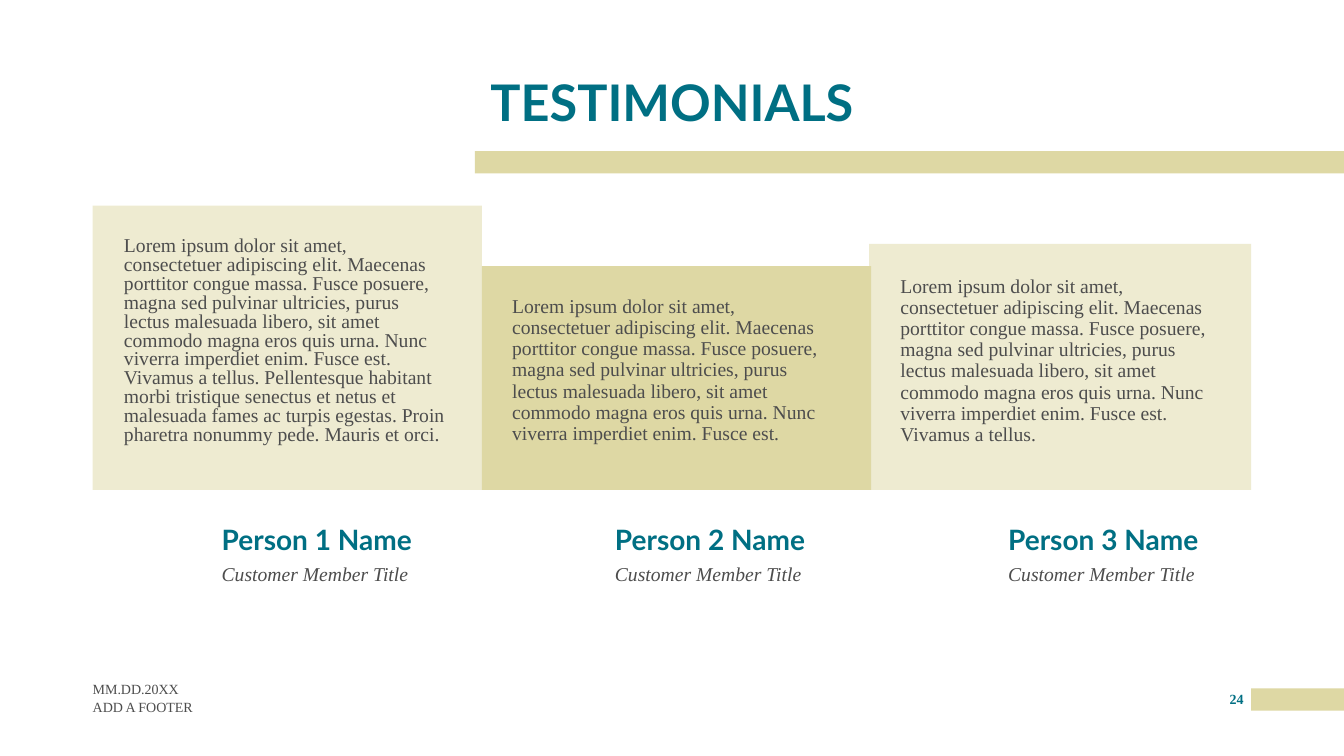
import pptx
import pptx.util
import pptx.dml.color
import pptx.enum.shapes
import pptx.enum.text
import lxml.etree

COLORS = {"sand": "DED8A4", "teal": "006F83", "body": "4D4D4D"}
HEADING, BODY = "Lato", "Times New Roman"
ALIGN = pptx.enum.text.PP_ALIGN
ANCHOR = pptx.enum.text.MSO_ANCHOR
WIDTH, HEIGHT = 13.33, 7.5
MARGIN = 0.92

SENTENCES = [
    "Lorem ipsum dolor sit amet, consectetuer adipiscing elit. Maecenas porttitor "
    "congue massa. Fusce posuere, magna sed pulvinar ultricies, purus lectus malesuada "
    "libero, sit amet commodo magna eros quis urna. Nunc viverra imperdiet enim. Fusce est.",
    "Vivamus a tellus.",
    "Pellentesque habitant morbi tristique senectus et netus et malesuada fames ac "
    "turpis egestas. Proin pharetra nonummy pede. Mauris et orci.",
]
# Quote box, number of text parts, line spacing, whether the box has a pale fill
TESTIMONIALS = [
    ((0.92, 2.04, 3.86, 2.82), 3, 0.8, True),
    ((4.77, 2.62, 3.86, 2.23), 1, 0.9, False),
    ((8.62, 2.42, 3.79, 2.44), 2, 0.9, True),
]
PERSON_LEFT, PERSON_STEP = 2.1, 3.9


def inches(values):
    return [pptx.util.Inches(value) for value in values]


def add_block(slide, box, opacity=100):
    block = slide.shapes.add_shape(pptx.enum.shapes.MSO_SHAPE.RECTANGLE, *inches(box))
    block.shadow.inherit = False
    block.line.fill.background()
    block.fill.solid()
    block.fill.fore_color.rgb = pptx.dml.color.RGBColor.from_string(COLORS["sand"])
    if opacity < 100:
        color = block.fill._xPr.find(".//" + pptx.oxml.ns.qn("a:srgbClr"))
        alpha = lxml.etree.SubElement(color, pptx.oxml.ns.qn("a:alpha"))
        alpha.set("val", str(opacity * 1000))
    return block


def write(holder, text, size, color="body", font=BODY, bold=False, italic=False,
          align=ALIGN.LEFT, anchor=ANCHOR.TOP, spacing=None, insets=(0, 0, 0, 0)):
    frame = holder.text_frame
    frame.word_wrap = True
    frame.vertical_anchor = anchor
    (frame.margin_left, frame.margin_top,
     frame.margin_right, frame.margin_bottom) = inches(insets)
    frame.text = text
    paragraph = frame.paragraphs[0]
    paragraph.alignment = align
    if spacing:
        paragraph.line_spacing = spacing
    style = paragraph.runs[0].font
    style.name, style.size = font, pptx.util.Pt(size)
    style.bold, style.italic = bold, italic
    style.color.rgb = pptx.dml.color.RGBColor.from_string(COLORS[color])


def add_label(slide, box, text, size, **look):
    write(slide.shapes.add_textbox(*inches(box)), text, size, **look)


def add_header(slide, box):
    left, top, width, height = box
    # Band that runs to the right edge of the slide
    add_block(slide, (4.71, 1.5, WIDTH - 4.71, 0.22))
    add_label(slide, (left, top, width, height), "TESTIMONIALS", 36, color="teal",
              font=HEADING, bold=True, align=ALIGN.CENTER, spacing=0.9)


def add_quote(slide, box, text, spacing, pale):
    if pale:
        quote = add_block(slide, box, opacity=50)
    else:
        quote = slide.shapes.add_textbox(*inches(box))
    write(quote, text, 14, spacing=spacing, insets=(0.31, 0.32, 0.34, 0.31))


def add_person(slide, box, name, role):
    left, top, width, height = box
    add_label(slide, (left, top, width, 0.36), name, 20, color="teal", font=HEADING,
              bold=True, spacing=0.9, insets=(0.1, 0.04, 0.1, 0))
    add_label(slide, (left, top + height - 0.27, width, 0.27), role, 14, italic=True,
              spacing=0.9, insets=(0.1, 0, 0.1, 0.05))


def add_footer(slide, box):
    left, top, width, height = box
    line = height / 2
    add_label(slide, (left, top, 3, line), "MM.DD.20XX", 10, anchor=ANCHOR.BOTTOM,
              insets=(0, 0, 0, 0.01))
    add_label(slide, (left, top + line, 3, line), "ADD A FOOTER", 10)
    # Page number beside its tab at the slide edge
    right = left + width
    add_label(slide, (right - 0.29, top + 0.18, 0.29, 0.25), "24", 10, color="teal",
              bold=True, align=ALIGN.CENTER)
    add_block(slide, (right, top + 0.16, WIDTH - right, 0.22))


def main():
    deck = pptx.Presentation()
    deck.slide_width, deck.slide_height = inches((WIDTH, HEIGHT))
    slide = deck.slides.add_slide(deck.slide_layouts[6])

    # Solid panel behind the middle quote
    add_block(slide, (4.78, 2.64, 3.86, 2.22))
    add_header(slide, (3.56, 0.77, 6.21, 0.66))

    # Quotes with the person under each
    for column, (box, parts, spacing, pale) in enumerate(TESTIMONIALS):
        add_quote(slide, box, " ".join(SENTENCES[:parts]), spacing, pale)
        add_person(slide, (PERSON_LEFT + column * PERSON_STEP, 5.18, 2.35, 0.69),
                   f"Person {column + 1} Name", "Customer Member Title")

    add_footer(slide, (MARGIN, 6.67, 11.49, 0.51))
    deck.save("out.pptx")


if __name__ == "__main__":
    main()
